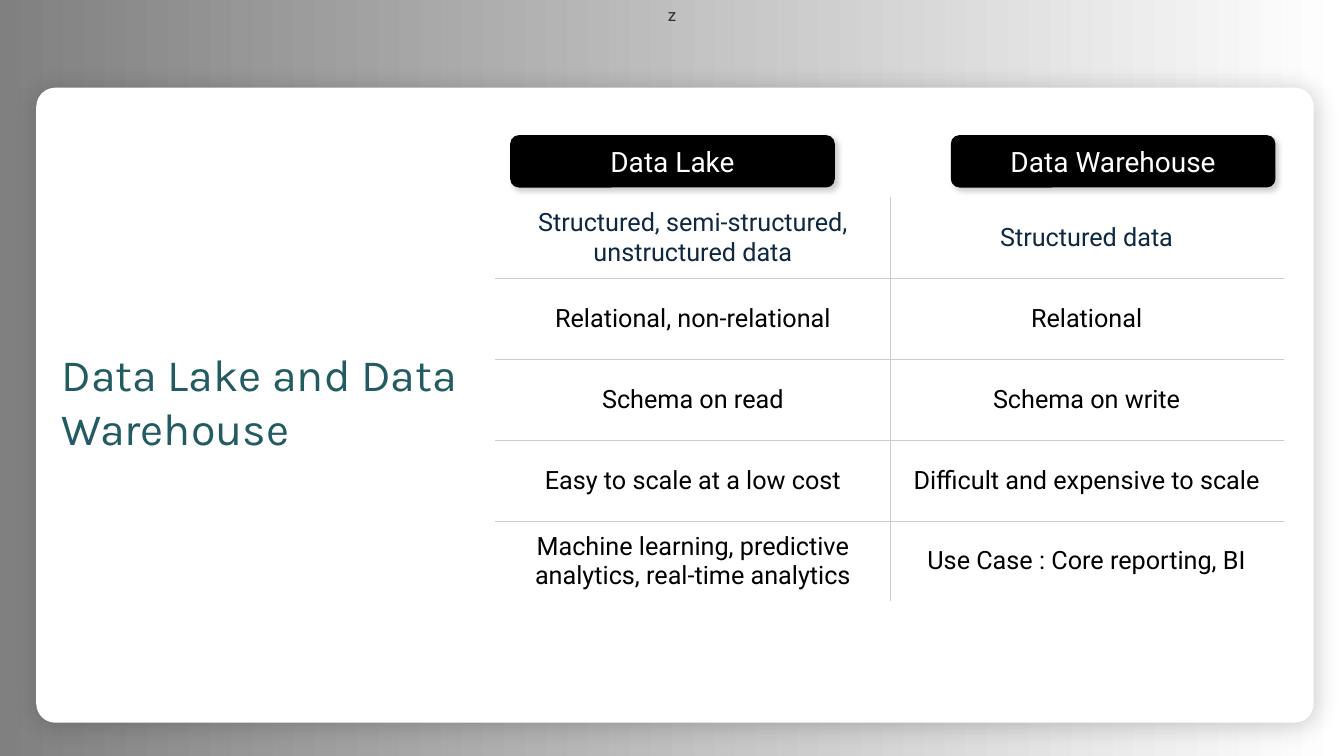
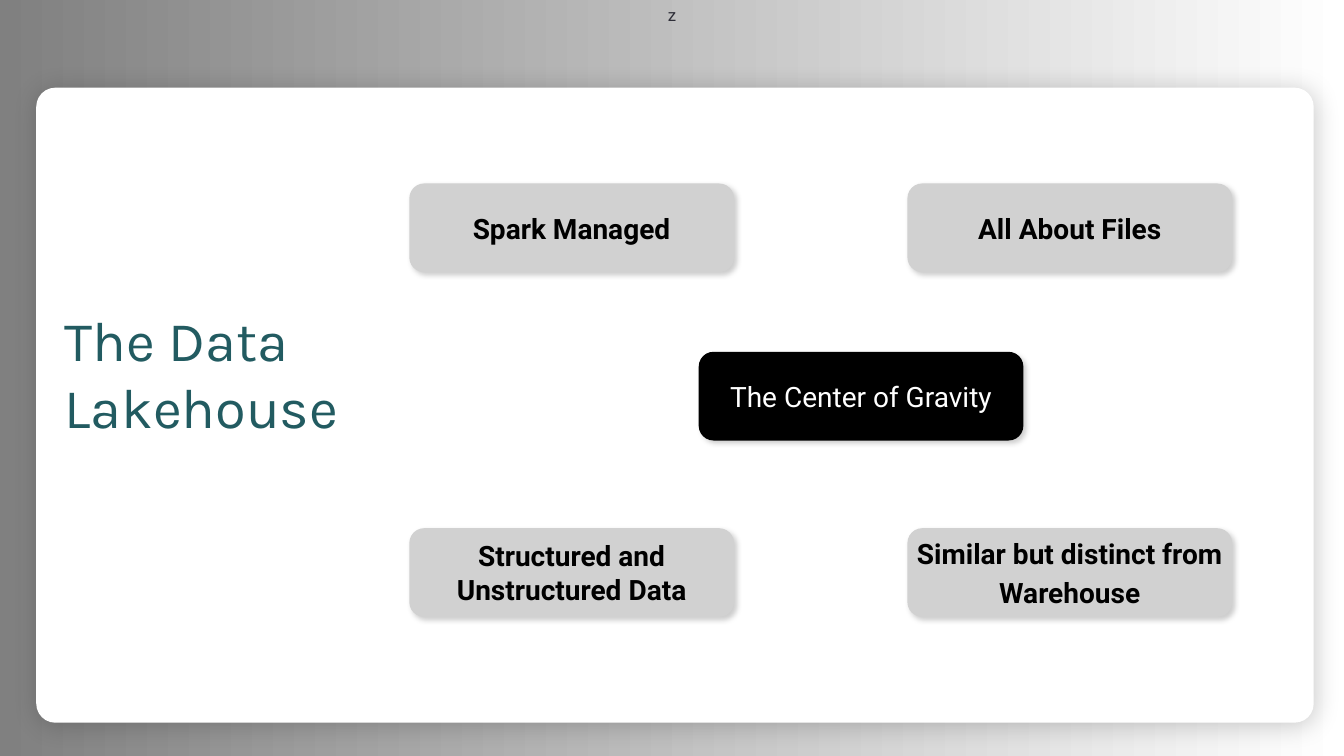
from lxml import etree
from pptx import Presentation
from pptx.dml.color import RGBColor
from pptx.enum.shapes import MSO_SHAPE
from pptx.enum.text import MSO_ANCHOR, MSO_AUTO_SIZE, PP_ALIGN
from pptx.oxml.ns import qn
from pptx.util import Inches, Pt

RECT, ROUNDED = MSO_SHAPE.RECTANGLE, MSO_SHAPE.ROUNDED_RECTANGLE
LEFT, CENTER = PP_ALIGN.LEFT, PP_ALIGN.CENTER
TOP, MIDDLE = MSO_ANCHOR.TOP, MSO_ANCHOR.MIDDLE
GROW = MSO_AUTO_SIZE.SHAPE_TO_FIT_TEXT

BLACK = RGBColor(0x00, 0x00, 0x00)
WHITE = RGBColor(0xFF, 0xFF, 0xFF)
MID_GRAY = RGBColor(0x80, 0x80, 0x80)
BOX_GRAY = RGBColor(0xD1, 0xD1, 0xD1)
RULE_GRAY = RGBColor(0xCC, 0xCC, 0xCC)
CHARCOAL = RGBColor(0x2E, 0x2E, 0x38)
TEAL = RGBColor(0x22, 0x5B, 0x61)
NAVY = RGBColor(0x0E, 0x28, 0x41)

TITLE_FONT, BODY_FONT = "Karla", "Roboto"
SLIDE_W, SLIDE_H = 13.33, 7.5
BOX_W, BOX_H, HEADER_H = 3.22, 0.88, 0.52

COMPARISON = [
    ("Structured, semi-structured, unstructured data", "Structured data"),
    ("Relational, non-relational", "Relational"),
    ("Schema on read", "Schema on write"),
    ("Easy to scale at a low cost", "Difficult and expensive to scale"),
    ("Machine learning, predictive analytics, real-time analytics",
     "Use Case : Core reporting, BI"),
]
LAKEHOUSE_TRAITS = [
    ["Spark Managed", "All About Files"],
    ["Structured and Unstructured Data",
     "Similar but distinct from\nWarehouse"],
]


def write_text(frame, text, size=20, color=BLACK, font=BODY_FONT, bold=False,
               align=CENTER, gap=0):
    """Write one paragraph per line, with gap points between paragraphs."""
    for index, line in enumerate(text.split("\n")):
        paragraph = frame.paragraphs[0] if index == 0 else frame.add_paragraph()
        paragraph.alignment = align
        if index and gap:
            paragraph.space_before = Pt(gap)
        run = paragraph.add_run()
        run.text = line
        run.font.size = Pt(size)
        run.font.name = font
        run.font.bold = bold
        run.font.color.rgb = color


def clear_margins(frame):
    frame.margin_left = frame.margin_right = 0
    frame.margin_top = frame.margin_bottom = 0
    frame.word_wrap = True


def add_shadow(shape, blur):
    effects = shape._element.spPr.find(qn("a:effectLst"))
    shadow = etree.SubElement(
        effects, qn("a:outerShdw"), blurRad=str(Pt(blur)), dist=str(Pt(3)),
        dir="2700000", algn="tl", rotWithShape="0")
    color = etree.SubElement(shadow, qn("a:srgbClr"), val=str(BLACK))
    etree.SubElement(color, qn("a:alpha"), val="20000")


def add_panel(slide, kind, left, top, width, height, fill=None, blur=0):
    panel = slide.shapes.add_shape(
        kind, Inches(left), Inches(top), Inches(width), Inches(height))
    panel.shadow.inherit = False
    panel.line.fill.background()
    if fill is not None:
        panel.fill.solid()
        panel.fill.fore_color.rgb = fill
    if blur:
        add_shadow(panel, blur)
    return panel


def add_box(slide, text, left, top, height=BOX_H, fill=BLACK, color=WHITE,
            bold=False):
    box = add_panel(slide, ROUNDED, left, top, BOX_W, height, fill, blur=4)
    clear_margins(box.text_frame)
    box.text_frame.vertical_anchor = MIDDLE
    write_text(box.text_frame, text, color=color, bold=bold, gap=4)


def add_title(slide, text, left, top, width, height, size):
    title = slide.shapes.add_textbox(
        Inches(left), Inches(top), Inches(width), Inches(height))
    clear_margins(title.text_frame)
    title.text_frame.auto_size = GROW
    write_text(title.text_frame, text, size=size, color=TEAL, font=TITLE_FONT,
               align=LEFT)


def add_framed_slide(prs):
    """Add a slide with the shared gradient backdrop and white card."""
    slide = prs.slides.add_slide(prs.slide_layouts[6])
    backdrop = add_panel(slide, RECT, 0, 0, SLIDE_W, SLIDE_H)
    backdrop.fill.gradient()
    backdrop.fill.gradient_angle = 0
    for stop, color in zip(backdrop.fill.gradient_stops, (MID_GRAY, WHITE)):
        stop.color.rgb = color
    backdrop.text_frame.vertical_anchor = TOP
    write_text(backdrop.text_frame, "z", size=12, color=CHARCOAL)
    card = add_panel(slide, ROUNDED, 0.36, 0.87, 12.67, 6.3, WHITE, blur=18)
    card.adjustments[0] = 0.03
    return slide


def set_border(cell, side, outer):
    width, color = (Pt(1), WHITE) if outer else (Pt(0.25), RULE_GRAY)
    line = etree.SubElement(cell._tc.get_or_add_tcPr(), qn(f"a:ln{side}"),
                            w=str(width))
    fill = etree.SubElement(line, qn("a:solidFill"))
    etree.SubElement(fill, qn("a:srgbClr"), val=str(color))


def add_comparison(slide, rows, left, top, width, height):
    row_count, column_count = len(rows), len(rows[0])
    table = slide.shapes.add_table(
        row_count, column_count, Inches(left), Inches(top), Inches(width),
        Inches(height)).table
    table.first_row = table.horz_banding = False
    for r, row in enumerate(rows):
        for c, text in enumerate(row):
            cell = table.cell(r, c)
            # Only the inner edges carry a visible rule
            set_border(cell, "L", c == 0)
            set_border(cell, "R", c == column_count - 1)
            set_border(cell, "T", r == 0)
            set_border(cell, "B", r == row_count - 1)
            cell.fill.solid()
            cell.fill.fore_color.rgb = WHITE
            cell.vertical_anchor = MIDDLE
            write_text(cell.text_frame, text, size=18,
                       color=NAVY if r == 0 else BLACK)


def build_comparison(prs):
    slide = add_framed_slide(prs)
    add_title(slide, "Data Lake and Data Warehouse", 0.61, 3.44, 3.99, 1.08, 32)
    for header, left in (("Data Lake", 5.06), ("Data Warehouse", 9.43)):
        add_box(slide, header, left, 1.34, height=HEADER_H)
    add_comparison(slide, COMPARISON, 4.92, 1.96, 7.81, 4.01)


def build_lakehouse(prs):
    slide = add_framed_slide(prs)
    add_title(slide, "The Data Lakehouse", 0.64, 3.03, 2.96, 1.34, 40)
    add_box(slide, "The Center of Gravity", 6.93, 3.49)
    # Traits around the centre
    for top, traits in zip((1.82, 5.24), LAKEHOUSE_TRAITS):
        for left, trait in zip((4.06, 9), traits):
            add_box(slide, trait, left, top, fill=BOX_GRAY, color=BLACK,
                    bold=True)


def main():
    prs = Presentation()
    prs.slide_width, prs.slide_height = Inches(SLIDE_W), Inches(SLIDE_H)
    build_comparison(prs)
    build_lakehouse(prs)
    prs.save("out.pptx")


if __name__ == "__main__":
    main()
